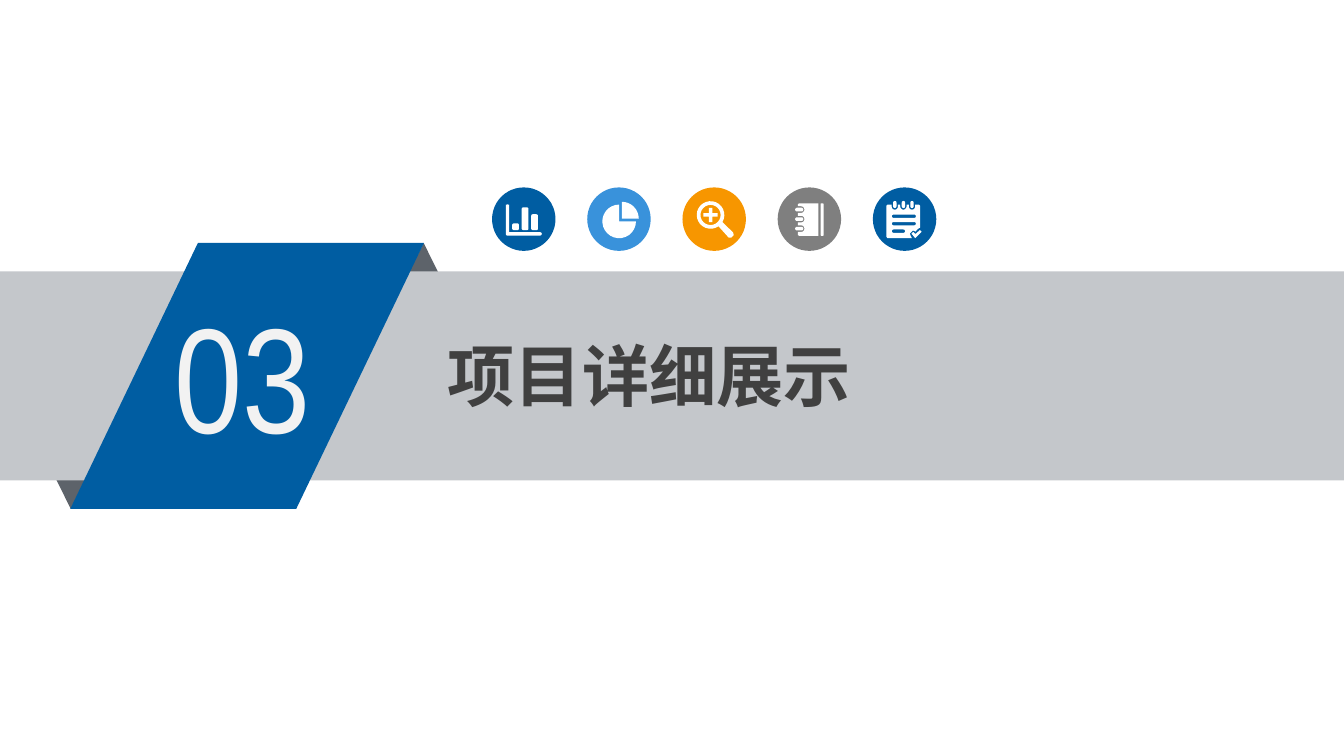
from dataclasses import dataclass
from math import cos, radians, sin

from lxml.etree import SubElement
from pptx import Presentation
from pptx.dml.color import RGBColor as Rgb
from pptx.enum.shapes import MSO_SHAPE as Kind
from pptx.enum.text import MSO_AUTO_SIZE as Fit
from pptx.oxml.ns import qn
from pptx.util import Pt


@dataclass(frozen=True)
class Theme:
    """Colours, fonts and type sizes of the slide."""
    blue: str = "005DA2"
    sky: str = "3992DB"
    orange: str = "F79600"
    grey: str = "7F7F7F"
    band: str = "C4C7CB"
    fold: str = "5D636A"
    white: str = "FFFFFF"
    pale: str = "F2F2F2"
    ink: str = "404040"
    digit: str = "Arial Narrow"
    han: str = "Noto Sans CJK SC"
    huge: int = 80
    head: int = 36


THEME = Theme()


def paint(shape, color):
    """Give a shape a flat fill with no line or shadow."""
    shape.shadow.inherit = False
    shape.fill.solid()
    shape.fill.fore_color.rgb = Rgb.from_string(color)
    shape.line.fill.background()
    return shape


def draw(shapes, kind, box, color):
    """Add a preset shape in a box of points."""
    return paint(shapes.add_shape(kind, *map(Pt, box)), color)


def write(shapes, box, text, font, size, color, bold=False):
    """Add one line of text in a box of points."""
    frame = shapes.add_textbox(*map(Pt, box)).text_frame
    frame.word_wrap = True
    frame.auto_size = Fit.SHAPE_TO_FIT_TEXT
    frame.margin_left = frame.margin_right = Pt(5.4)
    frame.margin_top = frame.margin_bottom = Pt(2.7)
    frame.text = text
    run = frame.paragraphs[0].runs[0]
    run.font.name, run.font.size, run.font.bold = font, Pt(size), bold
    run.font.color.rgb = Rgb.from_string(color)
    SubElement(run.font._element, qn("a:ea")).set("typeface", font)


def ribbon(shapes, x, y, wide, high):
    """Draw the band with its folded number tag and title."""
    lap, fold, tall = 15.2, 64.8, 65.4
    draw(shapes, Kind.ISOSCELES_TRIANGLE,
         (x + 194.6, y - lap, fold, tall), THEME.fold)
    lower = draw(shapes, Kind.ISOSCELES_TRIANGLE,
                 (x + 5.5, y + high + lap - tall, fold, tall), THEME.fold)
    lower.rotation = 180
    draw(shapes, Kind.RECTANGLE, (x, y, wide, high), THEME.band)
    tag = draw(shapes, Kind.PARALLELOGRAM,
               (x + 37.7, y - lap, 189.4, high + 2 * lap), THEME.blue)
    tag.adjustments[0] = 0.48
    write(shapes, (x + 88.1, y + 4.2, 104.4, 102.2), "03",
          THEME.digit, THEME.huge, THEME.pale)
    write(shapes, (x + 234.4, y + 30.8, 397.4, 49), "项目详细展示",
          THEME.han, THEME.head, THEME.ink, True)


def arc(x, y, size, start=0, end=360, steps=24):
    """List the points of an arc given in degrees."""
    turns = [radians(start + (end - start) * i / steps)
             for i in range(steps + 1)]
    return [(x + size * cos(turn), y + size * sin(turn)) for turn in turns]


def pill(x, y, wide, high, size):
    """List the points of a rectangle with round corners."""
    left, right = x + size, x + wide - size
    top, low = y + size, y + high - size
    ends = [(right, low), (left, low), (left, top), (right, top)]
    return [point for i, end in enumerate(ends)
            for point in arc(*end, size, 90 * i, 90 * i + 90, 3)]


def bars():
    """Outline a bar chart."""
    axis = [(7.4, 9.3), (8.3, 9.1), (9.2, 9.3), (9.2, 24),
            *arc(25.8, 24.9, 0.9, -90, 90, 4), (7.9, 25.8), (7.4, 25.2)]
    columns = [pill(10.8 + 5.1 * i, 22.9 - high, 3.6, high, 0.8)
               for i, high in enumerate((3.6, 12.2, 8.5))]
    return [axis, *columns]


def pie():
    """Outline a pie with one quarter pulled out."""
    return [[(18.6, 16.7), *arc(18.6, 16.7, 9, -90, 0, 8)],
            [(17.1, 18.2), *arc(17.1, 18.2, 9, 0, 270, 20)]]


def lens():
    """Outline a magnifier with a plus sign."""
    x, y = 15.1, 14.8
    rim = [*arc(x, y, 7.4, 55, 391), (27.2, 24.2), (27.5, 25.6),
           (26.2, 27), (24.8, 26.9)]
    thin, far = 0.95, 3.8
    arm = [(thin, -far), (thin, -thin), (far, -thin)]
    plus = []
    for _ in range(4):
        plus += [(x + a, y + b) for a, b in arm]
        arm = [(-b, a) for a, b in arm]
    return [rim, arc(x, y, 5.4), plus]


def book():
    """Outline a ring-bound book."""
    rows = [11.9 + 5.1 * i for i in range(3)]
    cover = [(10.9, 9), (11.6, 8.5), (21.8, 8.5), (21.8, 26),
             (11.6, 26), (10.9, 25.5)]
    for row in reversed(rows):
        cover += [(10.9, row + 1.8), *arc(12.6, row, 1.8, 90, -90, 6),
                  (10.9, row - 1.8)]
    spine = pill(23, 8.5, 1.7, 17.5, 0.6)
    return [cover, spine, *[pill(9.4, row - 1, 4.4, 2, 1) for row in rows]]


def pad():
    """Outline a notepad with a tick."""
    columns = [11.8 + 4.6 * i for i in range(3)]
    sheet = [(7.3, 9.8), (7.8, 9.3)]
    for column in columns:
        sheet += [(column - 1.7, 9.3), *arc(column, 10.3, 1.7, 180, 0, 6),
                  (column + 1.7, 9.3)]
    sheet += [(24.8, 9.3), (25.3, 9.8), (25.3, 21.6), (24.1, 22.3),
              (22.9, 23.7), (21.5, 23.1), (19.8, 24.8), (20.9, 27.2),
              (7.8, 27.2), (7.3, 26.5)]
    lines = [pill(10.2, 14.6 + 4 * i, wide, 1.8, 0.9)
             for i, wide in enumerate((12.9, 12.9, 7.1))]
    rings = [pill(column - 0.9, 7.3, 1.8, 3.8, 0.9) for column in columns]
    tick = [(20.7, 24.8), (21.6, 23.9), (22.9, 25), (25.2, 22.9),
            (26.1, 23.8), (22.7, 27.2)]
    return [sheet, *lines, *rings, tick]


def trace(shapes, x, y, loops):
    """Draw closed loops as one white outline."""
    pen = None
    for loop in loops:
        points = [(Pt(x + left), Pt(y + top)) for left, top in loop]
        if pen is None:
            pen = shapes.build_freeform(*points[0])
        else:
            pen.move_to(*points[0])
        pen.add_line_segments(points[1:])
    paint(pen.convert_to_shape(), THEME.white)


def icons(shapes, x, y, size, step):
    """Draw the row of round icons."""
    row = [(bars, THEME.blue), (pie, THEME.sky), (lens, THEME.orange),
           (book, THEME.grey), (pad, THEME.blue)]
    for index, (icon, color) in enumerate(row):
        left = x + index * step
        group = shapes.add_group_shape().shapes
        draw(group, Kind.OVAL, (left, y, size, size), color)
        trace(group, left, y, icon())


def main():
    """Build and save the section slide."""
    deck = Presentation()
    deck.slide_width, deck.slide_height = Pt(720), Pt(405)
    shapes = deck.slides.add_slide(deck.slide_layouts[6]).shapes
    ribbon(shapes, 0, 145.4, 720, 112)
    icons(shapes, 263.6, 100.4, 34, 51)
    deck.save("out.pptx")


if __name__ == "__main__":
    main()
